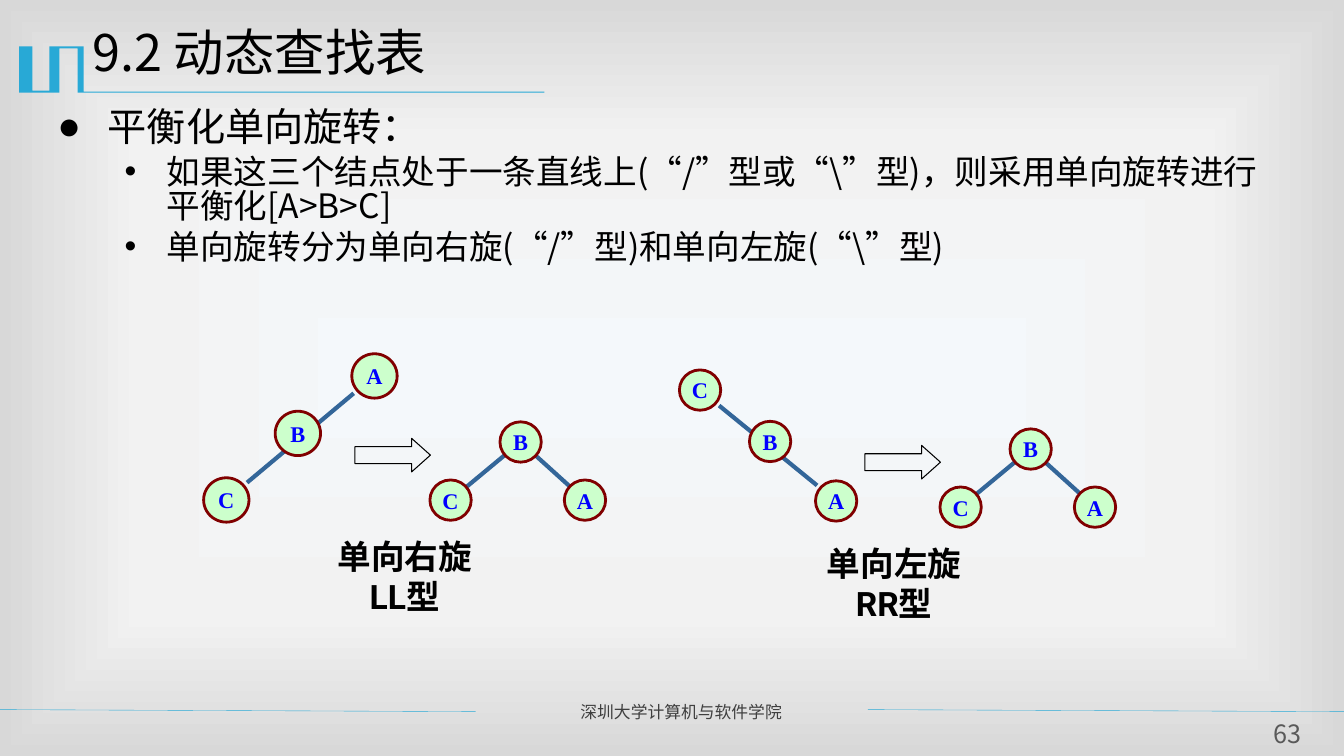
import pptx
import pptx.util
import pptx.oxml
import pptx.oxml.ns
import pptx.dml.color
import pptx.enum.shapes
import pptx.enum.text
from lxml import etree

Pt = pptx.util.Pt
RGBColor = pptx.dml.color.RGBColor
SHAPE = pptx.enum.shapes.MSO_SHAPE
ALIGN = pptx.enum.text.PP_ALIGN
ANCHOR = pptx.enum.text.MSO_ANCHOR
qn = pptx.oxml.ns.qn

CYAN = RGBColor(0x28, 0xA9, 0xD6)
BLACK = RGBColor(0, 0, 0)
DARK_GREY = RGBColor(0x3F, 0x3F, 0x3F)
GREY = RGBColor(0x59, 0x59, 0x59)
EDGE_BLUE = RGBColor(0x33, 0x66, 0x99)
NODE_GREEN = RGBColor(0xCC, 0xFF, 0xCC)
NODE_RED = RGBColor(0x80, 0, 0)
LABEL_BLUE = RGBColor(0, 0, 0xFF)
SANS = "Noto Sans CJK SC"

# The slide is a grid of 160 columns and 90 rows of square cells.
CELL = 76200


def cells(*counts):
    """Turn numbers of grid cells into lengths."""
    return [pptx.util.Emu(round(count * CELL)) for count in counts]


def style(paragraph, size, color, face=SANS, bold=False, align=ALIGN.LEFT):
    """Format a paragraph, with one typeface for Latin and Chinese letters."""
    paragraph.alignment = align
    font = paragraph.font
    font.size, font.bold, font.name = Pt(size), bold, face
    font.color.rgb = color
    latin = paragraph._p.pPr.find(qn("a:defRPr")).find(qn("a:latin"))
    east_asian = etree.Element(qn("a:ea"), typeface=face)
    latin.addnext(east_asian)


deck = pptx.Presentation()
deck.slide_width, deck.slide_height = cells(160, 90)
slide = deck.slides.add_slide(deck.slide_layouts[1])
shapes = slide.shapes

# Background
stops = "".join(
    f'<a:gs pos="{share * 1000}"><a:srgbClr val="{color}"/></a:gs>'
    for share, color in [(0, "F4F8FB"), (63, "F2F2F2"), (100, "D8D8D8")])
background = pptx.oxml.parse_xml(
    f'<p:bg {pptx.oxml.ns.nsdecls("p", "a")}><p:bgPr><a:gradFill rotWithShape="1">'
    f'<a:gsLst>{stops}</a:gsLst><a:path path="rect">'
    '<a:fillToRect l="50000" t="50000" r="50000" b="50000"/></a:path></a:gradFill>'
    '<a:effectLst/></p:bgPr></p:bg>')
slide._element.cSld.insert(0, background)

# Title ornament, in hundredths of a cell
ornament_points = [
    (984, 552), (996, 552), (996, 1092), (6480, 1092), (6480, 1104), (924, 1104),
    (924, 576), (708, 576), (708, 1104), (228, 1104), (228, 552), (384, 552),
    (384, 1080), (588, 1080), (588, 552)]
outline = shapes.build_freeform(*ornament_points[0], scale=CELL / 100)
outline.add_line_segments(ornament_points[1:], close=True)
ornament = outline.convert_to_shape()
ornament.shadow.inherit = False
ornament.fill.solid()
ornament.fill.fore_color.rgb = CYAN
ornament.line.fill.background()

# Title and list
heading = shapes.title
heading.left, heading.top, heading.width, heading.height = cells(9.84, 2.88, 144, 10.44)
heading.text_frame.text = "9.2 动态查找表"
heading.text_frame.vertical_anchor = ANCHOR.TOP
heading.text_frame.paragraphs[0].line_spacing = 0.88
style(heading.text_frame.paragraphs[0], 36, BLACK)

points = slide.placeholders[1]
points.left, points.top, points.width, points.height = cells(5.64, 12.48, 145.56, 21.96)
points.text_frame.auto_size = pptx.enum.text.MSO_AUTO_SIZE.NONE
points.text_frame.vertical_anchor = ANCHOR.TOP
point_rows = [
    ("平衡化单向旋转：", 0, "●", 28, 6, 6),
    ("如果这三个结点处于一条直线上(“/”型或“\\”型)，则采用单向旋转进行平衡化[A>B>C]",
     1, "•", 24, 13, 5),
    ("单向旋转分为单向右旋(“/”型)和单向左旋(“\\”型)", 1, "•", 24, 13, 5)]
points.text_frame.text = "\n".join(row[0] for row in point_rows)
for point, (_, level, bullet, size, margin, hang) in zip(
        points.text_frame.paragraphs, point_rows):
    point.level = level
    point.line_spacing = 0.85
    point.space_before = Pt(4.8 if level else 0)
    properties = point._p.get_or_add_pPr()
    properties.set("marL", str(margin * CELL))
    properties.set("indent", str(-hang * CELL))
    etree.SubElement(properties, qn("a:buChar"), char=bullet)
    style(point, size, BLACK)

# Rotations: places are counted from the left tip of each arrow
balanced = {"B": (19.74, -1.56), "A": (27.4, 5.36), "C": (11.4, 5.36)}
rotations = [
    ((42.24, 54.18), {"A": (2.34, -9.42), "B": (-6.78, -2.58), "C": (-15.3, 5.34)},
     (5.4, 5.28), 5.94, "单向右旋\nLL型"),
    ((102.96, 55.02), {"C": (-19.62, -8.58), "B": (-11.28, -2.46), "A": (-3.42, 4.62)},
     (4.92, 4.8), 3.48, "单向左旋\nRR型")]

rules = [(0, 84.48, 56.64, 84.72, CYAN, 0.25), (103.32, 84.48, 160, 84.72, CYAN, 0.25)]
nodes = []
for (x, y), chain, chain_size, caption_middle, caption_text in rotations:
    for tree, size, edges in [(chain, chain_size, ["CA"]),
                              (balanced, (4.92, 4.8), ["BC", "BA"])]:
        placed = {label: (x + dx, y + dy) for label, (dx, dy) in tree.items()}
        nodes += [(label, place, size) for label, place in placed.items()]
        for first, last in edges:
            (x1, y1), (x2, y2) = placed[first], placed[last]
            inset_x, inset_y = 0.14 * (x2 - x1), 0.14 * (y2 - y1)
            rules.append((x1 + inset_x, y1 + inset_y, x2 - inset_x, y2 - inset_y,
                          EDGE_BLUE, 3))

    arrow = shapes.add_shape(SHAPE.RIGHT_ARROW, *cells(x, y - 2, 9, 4))
    arrow.adjustments[0], arrow.adjustments[1] = 0.5, 0.56
    arrow.shadow.inherit = False
    arrow.fill.background()
    arrow.line.color.rgb = BLACK
    arrow.line.width = Pt(0.75)

    caption = shapes.add_textbox(*cells(x + caption_middle - 10, y + 9, 20, 10.92))
    caption.text_frame.word_wrap = True
    caption.text_frame.text = caption_text
    for paragraph in caption.text_frame.paragraphs:
        style(paragraph, 24, BLACK, "Roboto", True, ALIGN.CENTER)

for x1, y1, x2, y2, color, width in rules:
    rule = shapes.add_connector(
        pptx.enum.shapes.MSO_CONNECTOR.STRAIGHT, *cells(x1, y1, x2, y2))
    rule.line.color.rgb = color
    rule.line.width = Pt(width)
    etree.SubElement(rule._element.spPr, qn("a:effectLst"))

for label, (x, y), (width, height) in nodes:
    node = shapes.add_shape(
        SHAPE.OVAL, *cells(x - width / 2, y - height / 2, width, height))
    node.shadow.inherit = False
    node.fill.solid()
    node.fill.fore_color.rgb = NODE_GREEN
    node.line.color.rgb = NODE_RED
    node.line.width = Pt(2)
    frame = node.text_frame
    frame.word_wrap = False
    frame.vertical_anchor = ANCHOR.MIDDLE
    frame.text = label
    style(frame.paragraphs[0], 16, LABEL_BLUE, "Times New Roman", True, ALIGN.CENTER)

# Footer
school = shapes.add_textbox(*cells(67.92, 82.92, 34.2, 3.6))
school.text_frame.word_wrap = True
school.text_frame.text = "深圳大学计算机与软件学院"
style(school.text_frame.paragraphs[0], 12, DARK_GREY, align=ALIGN.JUSTIFY)

page_number = shapes.add_textbox(*cells(149.76, 85.56, 7.08, 3.72))
frame = page_number.text_frame
frame.margin_left = frame.margin_top = frame.margin_right = frame.margin_bottom = 0
frame.word_wrap = True
frame.text = "63"
style(frame.paragraphs[0], 18, GREY, align=ALIGN.CENTER)

deck.save("out.pptx")
